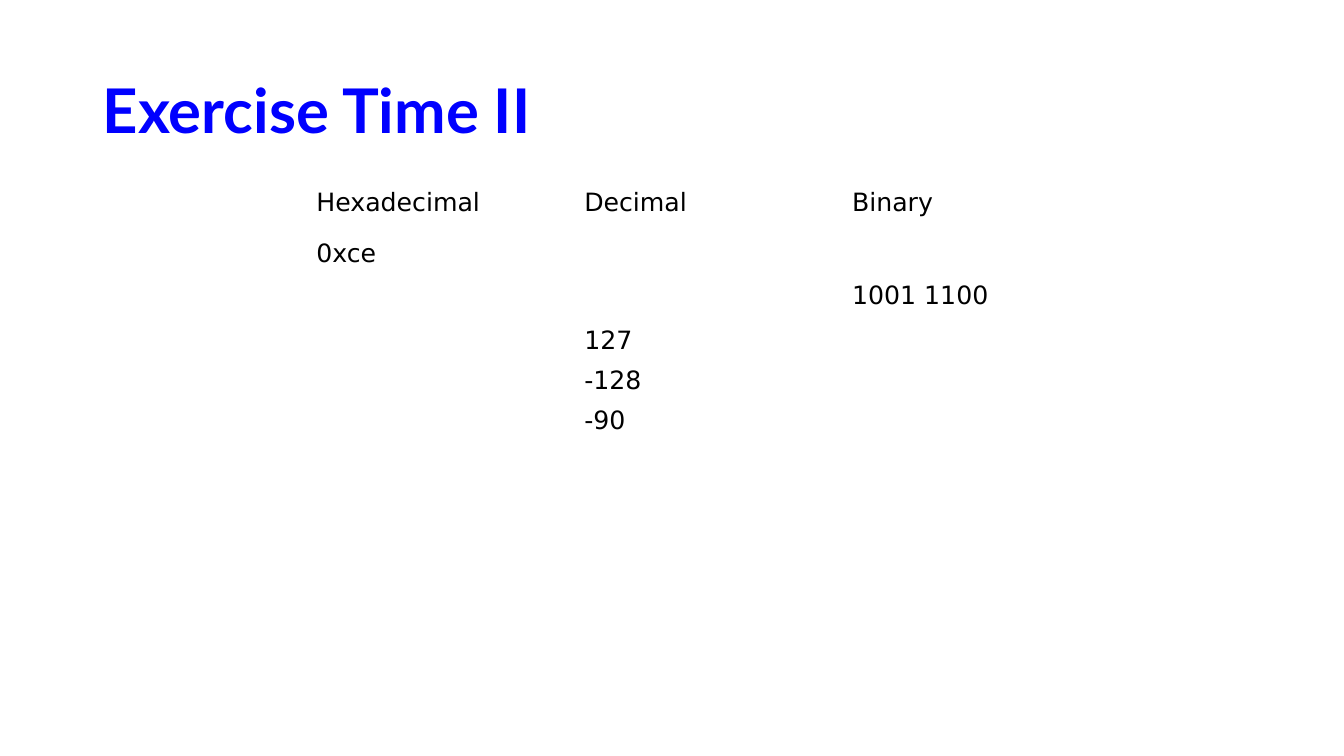
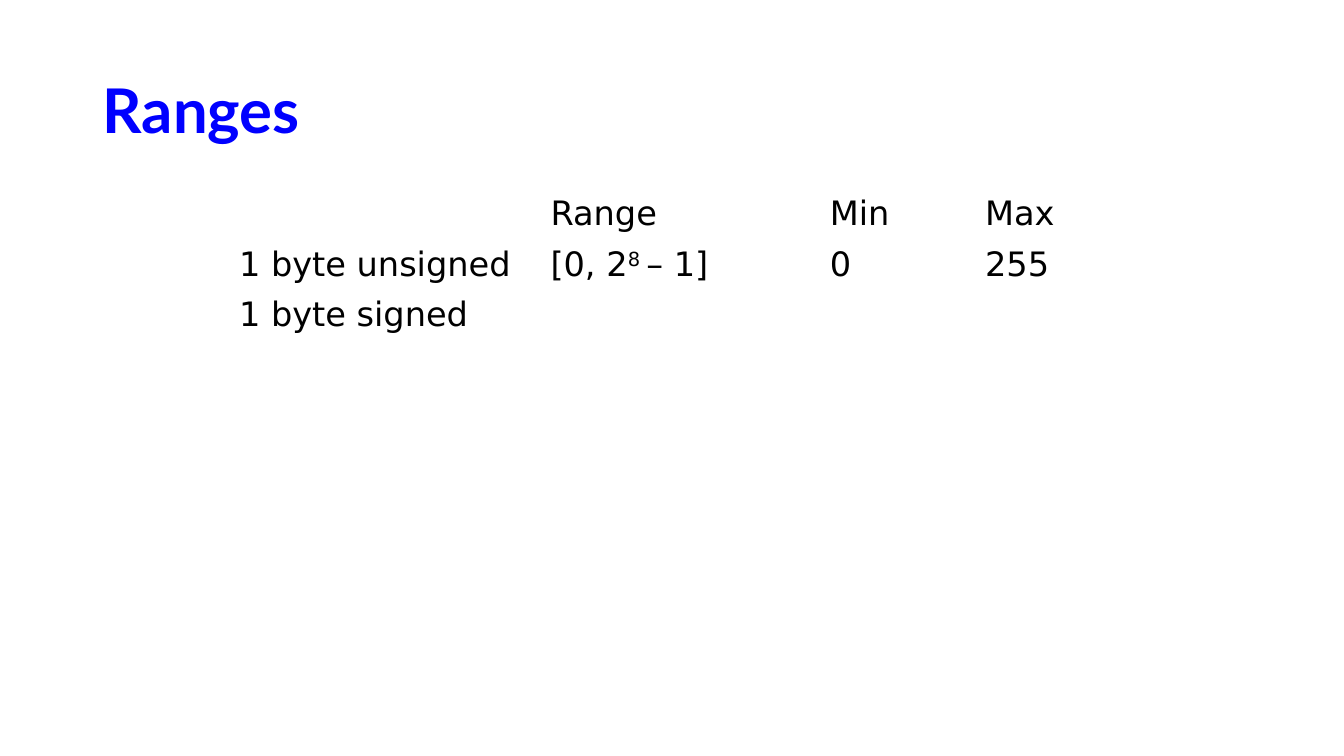
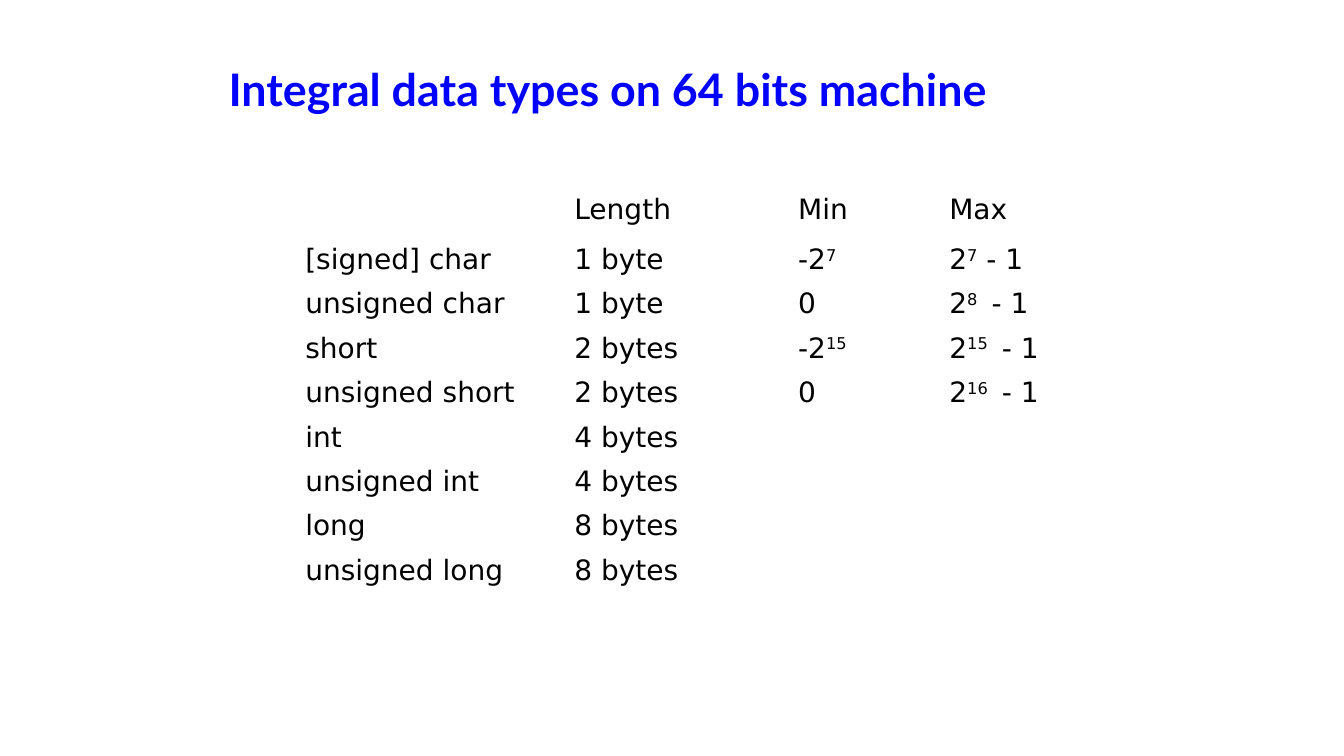
import lxml.etree
import pptx
import pptx.dml.color
import pptx.enum.text
import pptx.oxml.ns
import pptx.util

Cm = pptx.util.Cm
Pt = pptx.util.Pt


def rgb(value):
    return pptx.dml.color.RGBColor.from_string(value)


class Deck:
    TITLE_FONT, TITLE_COLOR = "Lato", "0000FF"
    BODY_FONT, BODY_COLOR = "DejaVu Sans", "000000"
    TITLE_BOX = (2.34, 1.02, 29.21, 3.68)

    def __init__(self):
        self.prs = pptx.Presentation()
        self.prs.slide_width = Cm(33.87)
        self.prs.slide_height = Cm(19.05)
        self.s = None

    def new_slide(self, title, size=44, box=TITLE_BOX):
        self.s = self.prs.slides.add_slide(self.prs.slide_layouts[6])
        tf = self.s.shapes.add_textbox(*map(Cm, box)).text_frame
        tf.word_wrap = True
        tf.vertical_anchor = pptx.enum.text.MSO_ANCHOR.MIDDLE
        tf.text = title
        p = tf.paragraphs[0]
        p.line_spacing = 0.9
        self.style(p.runs[0], self.TITLE_FONT, size, self.TITLE_COLOR, True)

    def style(self, r, font, size, color, bold=False):
        r.font.name = font
        r.font.size = Pt(size)
        r.font.color.rgb = rgb(color)
        r.font.bold = bold

    def table(self, left, top, widths, heights, rows, size):
        frame = self.s.shapes.add_table(
            len(rows), len(widths), Cm(left), Cm(top),
            Cm(sum(widths)), Cm(sum(heights)))
        table = frame.table
        table.first_row = table.horz_banding = False
        for column, width in zip(table.columns, widths):
            column.width = Cm(width)
        for row, height, texts in zip(table.rows, heights, rows):
            row.height = Cm(height)
            for cell, text in zip(row.cells, texts):
                cell.fill.background()
                self.cell_text(cell.text_frame.paragraphs[0], text, size)

    def cell_text(self, p, text, size):
        """Write text in which a pair of ^ encloses a superscript."""
        if not text:
            qn = pptx.oxml.ns.qn
            end = lxml.etree.SubElement(
                p._p, qn("a:endParaRPr"), sz=str(size * 100))
            lxml.etree.SubElement(end, qn("a:latin"), typeface=self.BODY_FONT)
            return
        for i, part in enumerate(text.split("^")):
            if part:
                r = p.add_run()
                r.text = part
                self.style(r, self.BODY_FONT, size, self.BODY_COLOR)
                if i % 2:
                    r._r.get_or_add_rPr().set("baseline", "30000")


def main():
    deck = Deck()

    deck.new_slide("Exercise Time II")
    deck.table(7.72, 4.62, [6.75] * 3, [1.27, 1.07, 1.12, 0.99, 0.97, 0.97], [
        ("Hexadecimal", "Decimal", "Binary"),
        ("0xce", "", ""),
        ("", "", "1001 1100"),
        ("", "127", ""),
        ("", "-128", ""),
        ("", "-90", ""),
    ], size=18)

    deck.new_slide("Ranges")
    deck.table(5.77, 4.78, [7.85, 7.04, 3.91, 3.81], [1.27, 1.25, 1.25], [
        ("", "Range", "Min", "Max"),
        ("1 byte unsigned", "[0, 2^8 ^– 1]", "0", "255"),
        ("1 byte signed", "", "", ""),
    ], size=24)

    deck.new_slide("Integral data types on 64 bits machine", 32,
                   (5.51, 0.74, 23.24, 3.18))
    deck.table(7.44, 4.75, [6.78, 5.64, 3.81, 3.28],
               [1.27, 1.07] + [1.12] * 7, [
        ("", "Length", "Min", "Max"),
        ("[signed] char", "1 byte", "-2^7^", "2^7^ - 1"),
        ("unsigned char", "1 byte", "0", "2^8 ^ - 1"),
        ("short", "2 bytes", "-2^15^", "2^15 ^ - 1"),
        ("unsigned short", "2 bytes", "0", "2^16 ^ - 1"),
        ("int", "4 bytes", "", ""),
        ("unsigned int", "4 bytes", "", ""),
        ("long", "8 bytes", "", ""),
        ("unsigned long", "8 bytes", "", ""),
    ], size=20)

    deck.prs.save("out.pptx")


if __name__ == "__main__":
    main()
